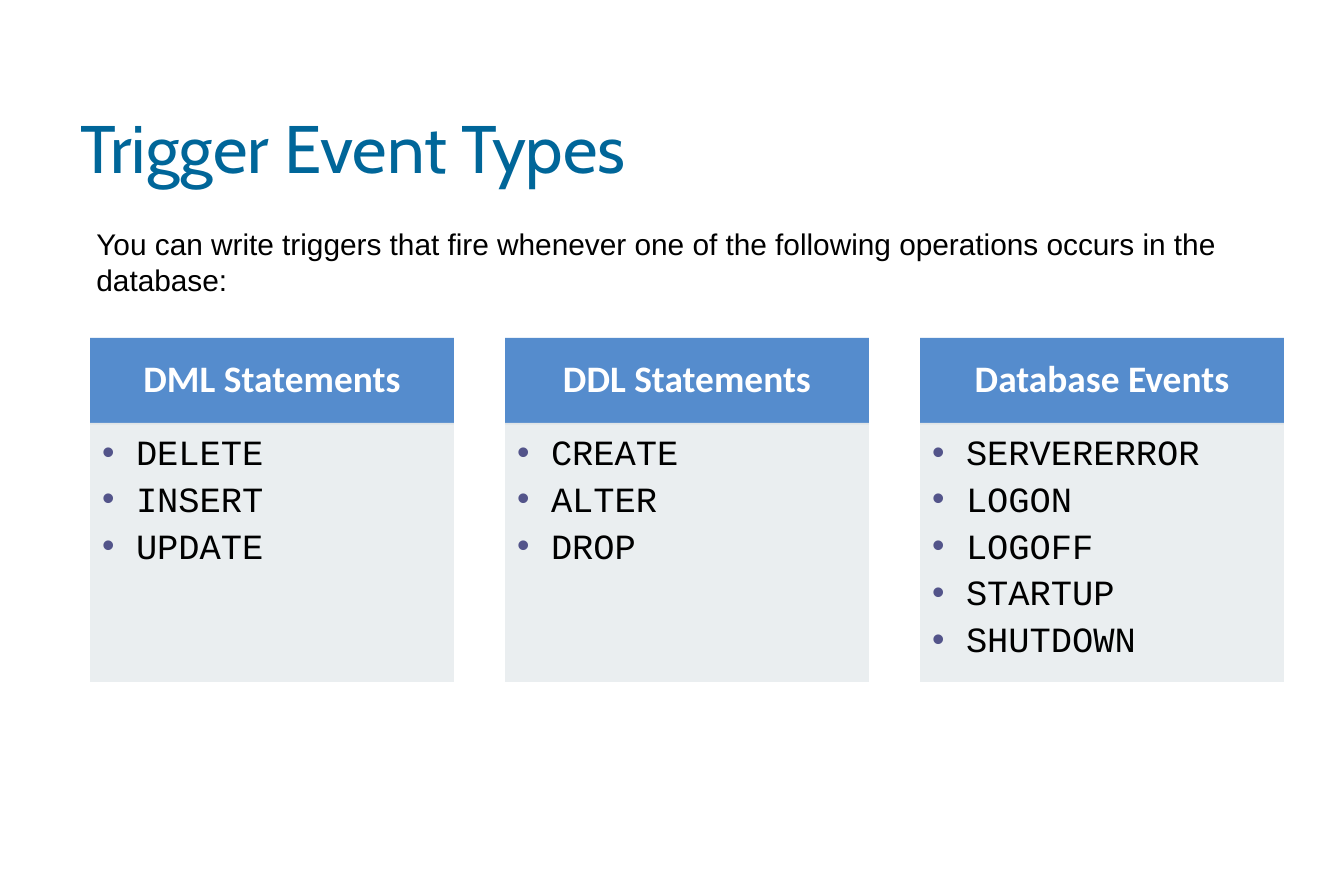
from dataclasses import dataclass

from lxml.etree import SubElement
from pptx import Presentation
from pptx.dml.color import RGBColor
from pptx.enum.shapes import MSO_SHAPE
from pptx.enum.text import MSO_ANCHOR, MSO_AUTO_SIZE, PP_ALIGN
from pptx.oxml.ns import qn
from pptx.util import Emu, Pt

PX_PER_INCH = 134.4
TITLE_BLUE = RGBColor(0x00, 0x66, 0x99)
HEADER_BLUE = RGBColor(0x55, 0x8C, 0xCD)
PANEL_GREY = RGBColor(0xE8, 0xED, 0xEF)
BULLET_PURPLE = RGBColor(0x53, 0x54, 0x8A)
BLACK = RGBColor(0x00, 0x00, 0x00)
WHITE = RGBColor(0xFF, 0xFF, 0xFF)

CARD_LEFT, CARD_TOP, CARD_WIDTH, CARD_PITCH = 90, 338, 364, 415
HEADER_HEIGHT, LIST_HEIGHT = 85, 259
BULLET_INDENT = 34


@dataclass(frozen=True)
class Style:
    font: str
    size: int
    color: RGBColor
    bold: bool = False


@dataclass(frozen=True)
class Card:
    heading: str
    items: tuple[str, ...]


TITLE_STYLE = Style("Cabin", 36, TITLE_BLUE)
INTRO_STYLE = Style("Arial", 16, BLACK)
HEADING_STYLE = Style("Calibri", 20, WHITE, bold=True)
ITEM_STYLE = Style("Courier New", 19, BLACK)

CARDS = (
    Card("DML Statements", ("DELETE", "INSERT", "UPDATE")),
    Card("DDL Statements", ("CREATE", "ALTER", "DROP")),
    Card("Database Events", ("SERVERERROR", "LOGON", "LOGOFF", "STARTUP", "SHUTDOWN")),
)


def px(length: int) -> Emu:
    return Emu(round(length * 914400 / PX_PER_INCH))


def add_span(paragraph, text: str, style: Style) -> None:
    span = paragraph.add_run()
    span.text = text
    span.font.name = style.font
    span.font.size = Pt(style.size)
    span.font.bold = style.bold
    span.font.color.rgb = style.color


def set_indent(paragraph, left: int, first: int) -> None:
    properties = paragraph._p.get_or_add_pPr()
    properties.set("marL", str(px(left)))
    properties.set("indent", str(px(first)))


def add_bullet(paragraph) -> None:
    set_indent(paragraph, BULLET_INDENT, -BULLET_INDENT)
    properties = paragraph._p.get_or_add_pPr()
    color = SubElement(properties, qn("a:buClr"))
    SubElement(color, qn("a:srgbClr"), val=str(BULLET_PURPLE))
    SubElement(properties, qn("a:buFont"), typeface="Arial")
    SubElement(properties, qn("a:buChar"), char="•")


def fill_placeholder(box, bounds: tuple[int, ...], anchor, text: str, style: Style):
    box.left, box.top, box.width, box.height = map(px, bounds)
    frame = box.text_frame
    frame.auto_size = MSO_AUTO_SIZE.NONE
    frame.vertical_anchor = anchor
    paragraph = frame.paragraphs[0]
    paragraph.alignment = PP_ALIGN.LEFT
    paragraph.space_before = Pt(0)
    add_span(paragraph, text, style)
    return paragraph


def add_panel(page, bounds: tuple[int, ...], color: RGBColor, anchor, insets: tuple[int, ...]):
    """Add a borderless rectangle; insets run left, top, right, bottom."""
    box = page.shapes.add_shape(MSO_SHAPE.RECTANGLE, *map(px, bounds))
    box.shadow.inherit = False
    box.fill.solid()
    box.fill.fore_color.rgb = color
    box.line.fill.background()
    frame = box.text_frame
    frame.word_wrap = True
    frame.vertical_anchor = anchor
    (frame.margin_left, frame.margin_top,
     frame.margin_right, frame.margin_bottom) = map(px, insets)
    return box


def add_header_shadow(box) -> None:
    effects = box._element.spPr.find(qn("a:effectLst"))
    shadow = SubElement(effects, qn("a:outerShdw"), blurRad="0", dist=str(Pt(1)),
                        dir="5400000", rotWithShape="0")
    color = SubElement(shadow, qn("a:srgbClr"), val=str(BLACK))
    SubElement(color, qn("a:alpha"), val="40000")


def add_card(page, card: Card, left: int) -> None:
    header = add_panel(page, (left, CARD_TOP, CARD_WIDTH, HEADER_HEIGHT),
                       HEADER_BLUE, MSO_ANCHOR.MIDDLE, (16, 9, 16, 9))
    add_header_shadow(header)
    heading = header.text_frame.paragraphs[0]
    heading.alignment = PP_ALIGN.CENTER
    heading.line_spacing = 0.9
    add_span(heading, card.heading, HEADING_STYLE)

    panel = add_panel(page, (left, CARD_TOP + HEADER_HEIGHT, CARD_WIDTH, LIST_HEIGHT),
                      PANEL_GREY, MSO_ANCHOR.TOP, (12, 12, 16, 17))
    fill_color = panel._element.spPr.find(qn("a:solidFill"))[0]
    SubElement(fill_color, qn("a:alpha"), val="90000")
    frame = panel.text_frame
    for index, item in enumerate(card.items):
        paragraph = frame.add_paragraph() if index else frame.paragraphs[0]
        add_bullet(paragraph)
        paragraph.alignment = PP_ALIGN.LEFT
        paragraph.line_spacing = 0.9
        paragraph.space_after = Pt(4.5)
        add_span(paragraph, item, ITEM_STYLE)


def main() -> None:
    deck = Presentation()
    deck.slide_width, deck.slide_height = px(1344), px(878)
    page = deck.slides.add_slide(deck.slide_layouts[1])

    fill_placeholder(page.shapes.title, (67, 78, 1210, 137), MSO_ANCHOR.MIDDLE,
                     "Trigger Event Types", TITLE_STYLE)
    intro = fill_placeholder(
        page.placeholders[1], (67, 219, 1210, 554), MSO_ANCHOR.TOP,
        "You can write triggers that fire whenever one of the following "
        "operations occurs in the database:", INTRO_STYLE)
    set_indent(intro, 16, 0)
    SubElement(intro._p.get_or_add_pPr(), qn("a:buNone"))

    for column, card in enumerate(CARDS):
        add_card(page, card, CARD_LEFT + column * CARD_PITCH)
    deck.save("out.pptx")


if __name__ == "__main__":
    main()
